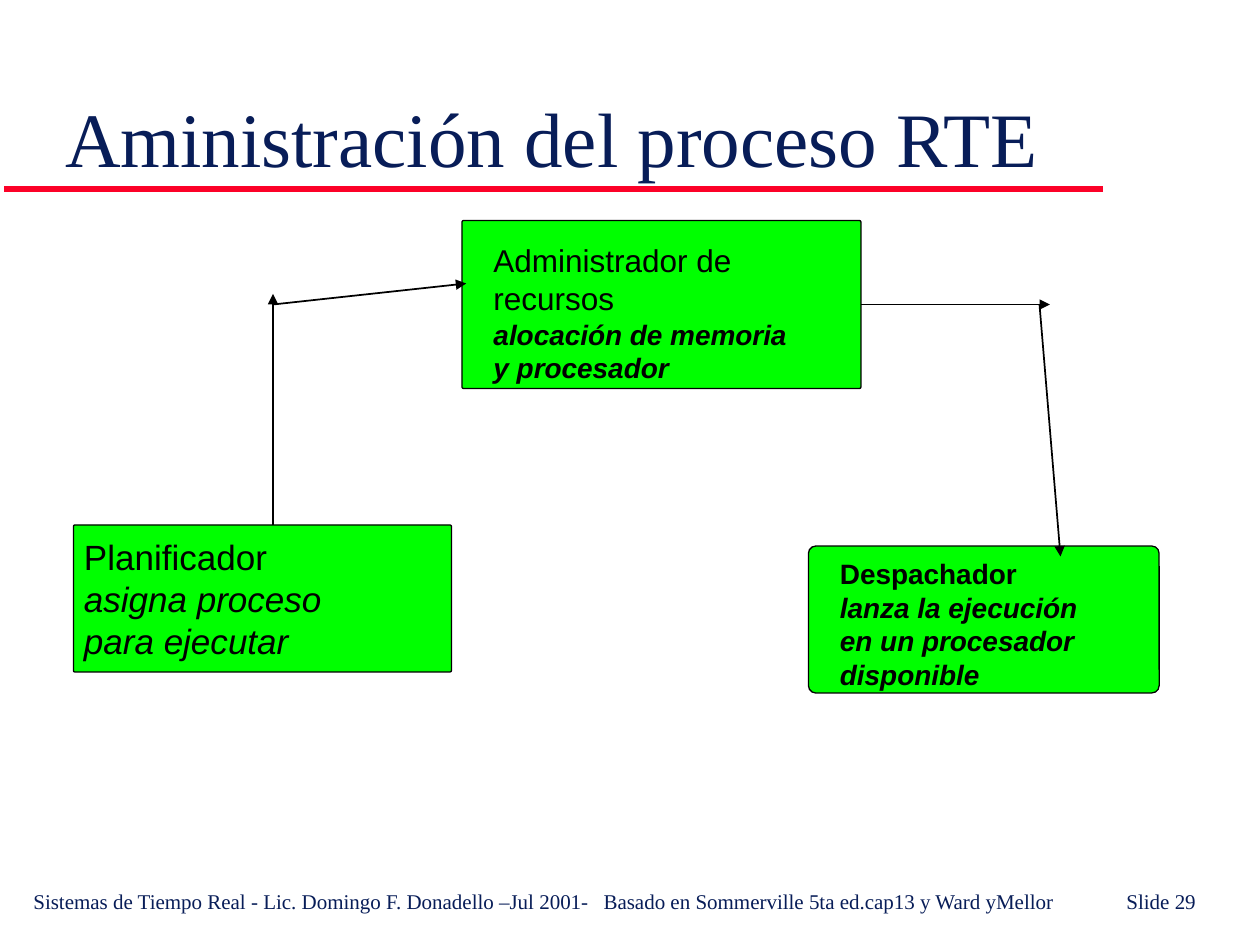
from lxml.etree import SubElement
from pptx import Presentation
from pptx.dml.color import RGBColor
from pptx.enum.shapes import MSO_CONNECTOR as Connector, MSO_SHAPE as Shape
from pptx.enum.text import MSO_ANCHOR as Anchor, MSO_AUTO_SIZE as AutoSize, PP_ALIGN as Align
from pptx.oxml.ns import qn
from pptx.util import Emu, Pt

NAVY = RGBColor(0x08, 0x1D, 0x58)
RED = RGBColor(0xFC, 0x01, 0x28)
GREEN = RGBColor(0x00, 0xFF, 0x00)
BLACK = RGBColor(0x00, 0x00, 0x00)
SERIF, SANS = "Times New Roman", "Arial"
EMU_PER_PX = 7620  # 120 px to the inch


def px(length):
    return Emu(length * EMU_PER_PX)


def write(paragraph, text, font=SANS, size=16, color=BLACK, bold=False, italic=False):
    run = paragraph.add_run()
    run.text = text
    run.font.name = font
    run.font.size = Pt(size)
    run.font.color.rgb = color
    run.font.bold = bold
    run.font.italic = italic


def add_tabs(paragraph, positions):
    tab_list = SubElement(paragraph._p.get_or_add_pPr(), qn("a:tabLst"))
    for position in positions:
        SubElement(tab_list, qn("a:tab"), pos=str(px(position)), algn="l")


class ProcessSlide:
    def __init__(self, presentation):
        self.slide = presentation.slides.add_slide(presentation.slide_layouts[5])
        self.shapes = self.slide.shapes

    def title(self, text, left, top, width, height):
        title = self.shapes.title
        title.left, title.top, title.width, title.height = map(px, (left, top, width, height))
        frame = title.text_frame
        frame.auto_size = AutoSize.NONE
        frame.word_wrap = True
        frame.vertical_anchor = Anchor.BOTTOM
        frame.paragraphs[0].alignment = Align.LEFT
        write(frame.paragraphs[0], text, font=SERIF, size=44, color=NAVY)

    def text_frame(self, left, top, width, height, inset=0):
        frame = self.shapes.add_textbox(*map(px, (left, top, width, height))).text_frame
        frame.word_wrap = True
        frame.margin_left = frame.margin_right = px(inset)
        frame.margin_top = frame.margin_bottom = px(inset // 2)
        return frame

    def footer(self, text, left, top, width, height, tabs):
        paragraph = self.text_frame(left, top, width, height, inset=12).paragraphs[0]
        add_tabs(paragraph, tabs)
        write(paragraph, text, font=SERIF, size=12, color=NAVY)

    def box(self, left, top, width, height, rounding):
        box = self.shapes.add_shape(Shape.ROUNDED_RECTANGLE, *map(px, (left, top, width, height)))
        box.adjustments[0] = rounding
        box.shadow.inherit = False
        box.fill.solid()
        box.fill.fore_color.rgb = GREEN
        box.line.color.rgb = BLACK
        box.line.width = Pt(0)

    def label(self, bounds, heading, heading_format, details, details_format):
        """Write the heading lines and then the detail lines, one paragraph each."""
        frame = self.text_frame(*bounds)
        lines = [(line, heading_format) for line in heading]
        lines += [(line, details_format) for line in details]
        for index, (line, line_format) in enumerate(lines):
            paragraph = frame.add_paragraph() if index else frame.paragraphs[0]
            write(paragraph, line, **line_format)

    def line(self, start, end, color=BLACK, width=1, arrow=True):
        line = self.shapes.add_connector(Connector.STRAIGHT, *map(px, start + end))
        line.line.color.rgb = color
        line.line.width = Pt(width)
        if arrow:
            SubElement(line.line._get_or_add_ln(), qn("a:tailEnd"), type="triangle")
        SubElement(line._element.spPr, qn("a:effectLst"))


def main():
    presentation = Presentation()
    presentation.slide_width, presentation.slide_height = px(1200), px(900)
    page = ProcessSlide(presentation)

    page.line((4, 180), (1050, 180), color=RED, width=4, arrow=False)
    page.footer(
        "Sistemas de Tiempo Real - Lic. Domingo F. Donadello –Jul 2001-\t"
        "Basado en Sommerville 5ta ed.cap13 y Ward yMellor\tSlide 29",
        20, 840, 1180, 60, tabs=(543, 1041))
    page.title("Aministración del proceso RTE", 50, 35, 1025, 145)

    page.box(70, 500, 360, 140, rounding=0.01)
    page.label((80, 510, 360, 120),
               ["Planificador"], dict(size=20),
               ["asigna proceso", "para ejecutar"], dict(size=20, italic=True))

    page.box(440, 210, 380, 160, rounding=0.01)
    page.label((470, 230, 340, 136),
               ["Administrador de", "recursos"], dict(size=18),
               ["alocación de memoria", "y procesador"], dict(bold=True, italic=True))

    page.box(770, 520, 334, 140, rounding=0.05)
    page.label((800, 530, 300, 128),
               ["Despachador"], dict(bold=True),
               ["lanza la ejecución", "en un procesador", "disponible"],
               dict(bold=True, italic=True))

    for start, end in (((260, 500), (260, 280)), ((260, 290), (444, 270)),
                       ((820, 290), (1000, 290)), ((990, 290), (1010, 530))):
        page.line(start, end)

    presentation.save("out.pptx")


if __name__ == "__main__":
    main()
